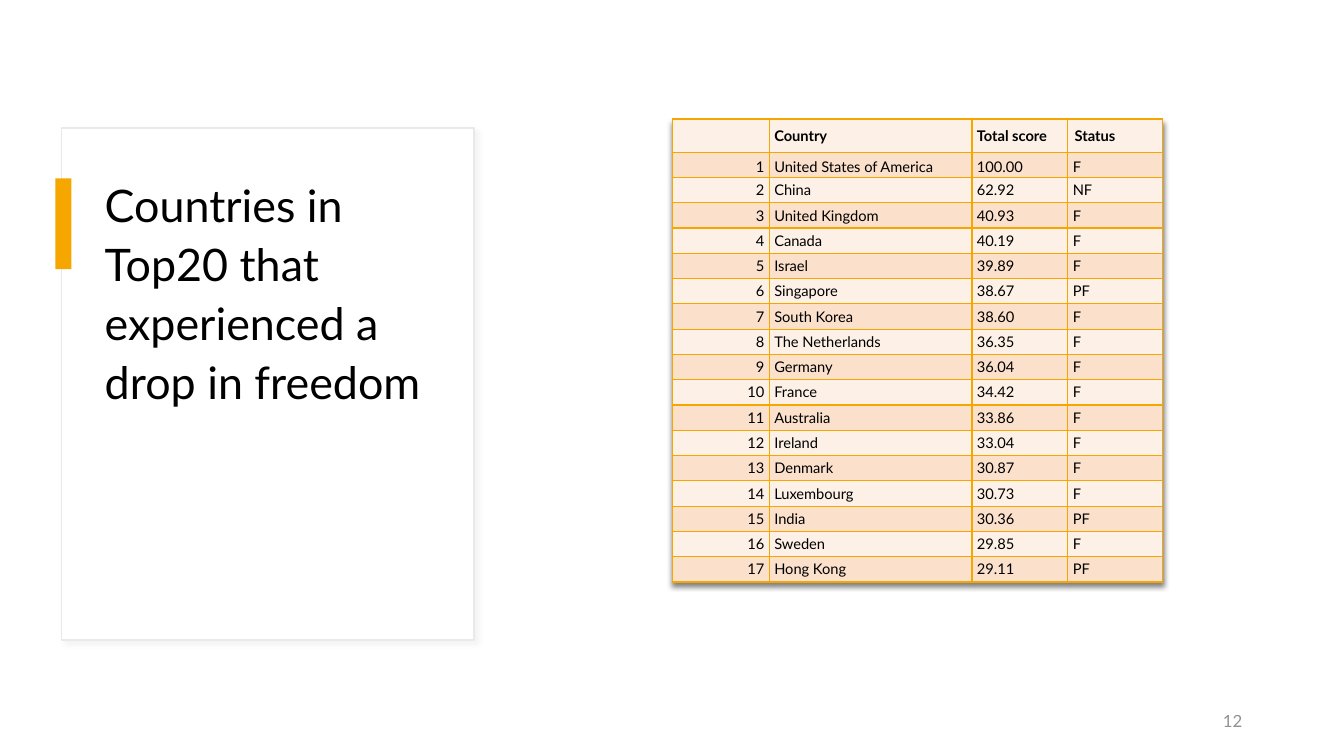
from lxml import etree
from pptx import Presentation
from pptx.dml.color import RGBColor
from pptx.enum import shapes, text
from pptx.oxml import ns
from pptx.util import Inches, Pt

# Content
TITLE = "Countries in Top20 that experienced a drop in freedom"
PAGE = "12"
HEAD = ("", "Country", "Total score", "Status")
SCORES = [
    ("United States of America", "100.00", "F"),
    ("China", "62.92", "NF"),
    ("United Kingdom", "40.93", "F"),
    ("Canada", "40.19", "F"),
    ("Israel", "39.89", "F"),
    ("Singapore", "38.67", "PF"),
    ("South Korea", "38.60", "F"),
    ("The Netherlands", "36.35", "F"),
    ("Germany", "36.04", "F"),
    ("France", "34.42", "F"),
    ("Australia", "33.86", "F"),
    ("Ireland", "33.04", "F"),
    ("Denmark", "30.87", "F"),
    ("Luxembourg", "30.73", "F"),
    ("India", "30.36", "PF"),
    ("Sweden", "29.85", "F"),
    ("Hong Kong", "29.11", "PF"),
]

# Format
FONT = "Lato"
BLACK = RGBColor(0x00, 0x00, 0x00)
WHITE = RGBColor(0xFF, 0xFF, 0xFF)
GRAY = RGBColor(0x92, 0x92, 0x92)
EDGE = RGBColor(0xE9, 0xE9, 0xE9)
SHADE = RGBColor(0xD9, 0xD9, 0xD9)
GOLD = RGBColor(0xF5, 0xA7, 0x00)
BANDS = (RGBColor(0xFD, 0xF1, 0xE7), RGBColor(0xFB, 0xE1, 0xCC))
COLS = (0.96, 2.01, 0.95, 0.94)
LEFT, TOP, HIGH, HEAD_H = 6.67, 1.18, 4.6, 0.33
MID, LOW = text.MSO_ANCHOR.MIDDLE, text.MSO_ANCHOR.BOTTOM
RIGHT = text.PP_ALIGN.RIGHT


def apply(item, form):
    for name, value in form.items():
        setattr(item, name, value)


def add(node, tag, **attrs):
    return etree.SubElement(node, ns.qn(tag), attrs)


def write(para, words, size, color=BLACK, bold=False):
    run = para.add_run()
    run.text = words
    apply(run.font, {"name": FONT, "size": Pt(size), "bold": bold})
    run.font.color.rgb = color


def shadow(node, color, alpha, angle):
    glow = add(node, "a:effectLst")
    cast = add(glow, "a:outerShdw", blurRad=str(Pt(4)), dist=str(Pt(3)),
               dir=str(angle * 60000), algn="tl", rotWithShape="0")
    tint = add(cast, "a:srgbClr", val=str(color))
    add(tint, "a:alpha", val=str(alpha * 1000))
    return glow


def block(slide, spot, fill):
    box = slide.shapes.add_shape(shapes.MSO_SHAPE.RECTANGLE, *map(Inches, spot))
    box.fill.solid()
    box.fill.fore_color.rgb = fill
    box.line.fill.background()
    return box


def label(slide, spot, form):
    box = slide.shapes.add_textbox(*map(Inches, spot))
    box.text_frame.word_wrap = True
    para = box.text_frame.paragraphs[0]
    apply(para, form)
    return box.text_frame, para


def border(cell):
    props = cell._tc.get_or_add_tcPr()
    for spot, side in enumerate(("a:lnL", "a:lnR", "a:lnT", "a:lnB")):
        line = etree.Element(ns.qn(side), w=str(Pt(1)))
        add(add(line, "a:solidFill"), "a:srgbClr", val=str(GOLD))
        props.insert(spot, line)


def fill_cell(cell, words, row, col):
    wide = row == 0 and col == 3
    side, edge = (0.07, 0.03) if wide else (0.05, 0.02)
    apply(cell, {
        "margin_left": Inches(side), "margin_right": Inches(side),
        "margin_top": Inches(edge), "margin_bottom": Inches(edge),
        "vertical_anchor": LOW if row == 1 else MID,
    })
    cell.fill.solid()
    cell.fill.fore_color.rgb = BANDS[row % 2]
    border(cell)
    para = cell.text_frame.paragraphs[0]
    if col == 0:
        para.alignment = RIGHT
    if words:
        write(para, words, 10.5, bold=row == 0)
    else:
        add(para._p, "a:endParaRPr", sz="1050")


def main():
    deck = Presentation()
    apply(deck, {"slide_width": Inches(13.33), "slide_height": Inches(7.5)})
    slide = deck.slides.add_slide(deck.slide_layouts[6])

    # Title card with accent bar
    card = block(slide, (0.61, 1.27, 4.09, 5.08), WHITE)
    card.line.color.rgb = EDGE
    card.line.width = Pt(1)
    shadow(card._element.spPr, SHADE, 30, 45)
    bar = block(slide, (0.55, 1.77, 0.16, 0.9), GOLD)
    bar.shadow.inherit = False
    _, para = label(slide, (0.94, 1.66, 3.39, 2.25),
                    {"line_spacing": 1.1, "space_before": Pt(10)})
    write(para, TITLE, 32)

    # Page number
    frame, para = label(slide, (9.42, 6.95, 3, 0.4),
                        {"alignment": RIGHT, "space_after": Pt(6)})
    frame.vertical_anchor = MID
    write(para, PAGE, 12, GRAY)

    # Score table
    rows = [HEAD] + [(str(rank), *score) for rank, score in enumerate(SCORES, 1)]
    spot = (LEFT, TOP, sum(COLS), HIGH)
    table = slide.shapes.add_table(len(rows), len(COLS), *map(Inches, spot)).table
    props = table._tbl.tblPr
    props.insert(0, shadow(props, BLACK, 50, 90))
    for column, width in zip(table.columns, COLS):
        column.width = Inches(width)
    step = (HIGH - HEAD_H) / len(SCORES)
    for r, row in enumerate(rows):
        table.rows[r].height = Inches(step if r else HEAD_H)
        for c, words in enumerate(row):
            fill_cell(table.cell(r, c), words, r, c)

    deck.save("out.pptx")


if __name__ == "__main__":
    main()
